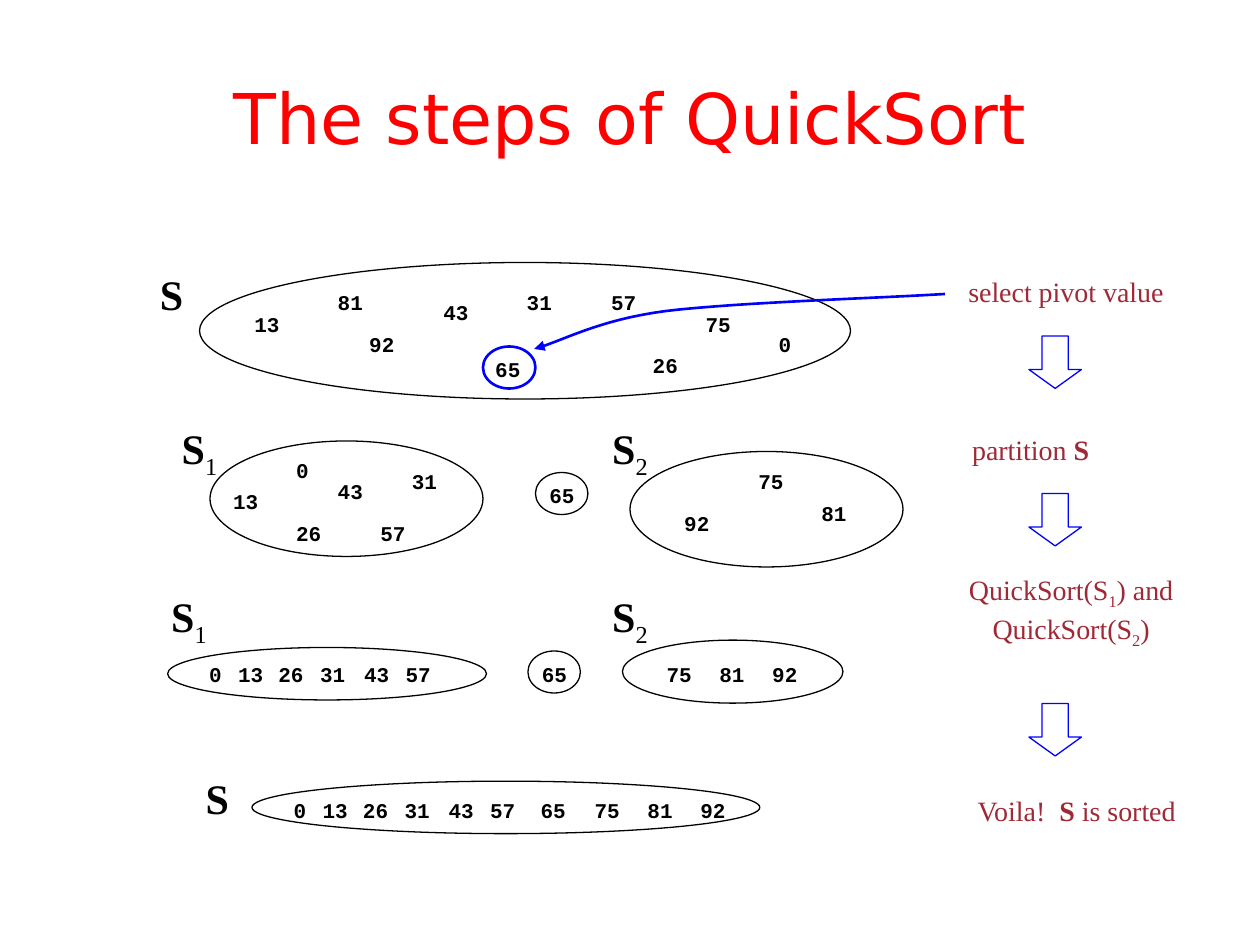
"""Build a slide that shows the steps of QuickSort on a small set of numbers."""
from dataclasses import dataclass
from typing import NamedTuple

from lxml.etree import SubElement
from pptx import Presentation
from pptx.dml.color import RGBColor as RGB
from pptx.enum.shapes import MSO_SHAPE as Geom
from pptx.enum.text import MSO_ANCHOR as Anchor, MSO_AUTO_SIZE as AutoSize, PP_ALIGN as Align
from pptx.oxml.ns import qn
from pptx.util import Pt


@dataclass(frozen=True)
class Style:
    font: str
    size: float
    color: RGB
    bold: bool = False


@dataclass(frozen=True)
class Theme:
    black: RGB = RGB(0, 0, 0)
    white: RGB = RGB(255, 255, 255)
    blue: RGB = RGB(0, 0, 255)
    title: Style = Style("DejaVu Sans", 40, RGB(255, 0, 0))
    number: Style = Style("Courier New", 12, RGB(0, 0, 0), True)
    label: Style = Style("Times New Roman", 24, RGB(0, 0, 0))
    step: Style = Style("Times New Roman", 16, RGB(0x9F, 0x29, 0x36))
    thin: float = 0.75
    thick: float = 1.5


THEME = Theme()


class Box(NamedTuple):
    x: float
    y: float
    w: float
    h: float


class Span(NamedTuple):
    text: str
    bold: bool = False
    sub: bool = False


class Oval(NamedTuple):
    box: Box
    filled: bool = False
    color: RGB = THEME.black
    width: float = THEME.thin


class Caption(NamedTuple):
    box: Box
    lines: list[list[Span]]


class Number(NamedTuple):
    value: int
    cx: float
    cy: float


Point = tuple[float, float]

OVALS = [
    Oval(Box(114, 150, 372, 78), True),
    Oval(Box(276, 198, 30, 24), False, THEME.blue, THEME.thick),
    Oval(Box(120, 252, 156, 66), True),
    Oval(Box(306, 270, 30, 24)),
    Oval(Box(360, 258, 156, 66)),
    Oval(Box(95.8, 370, 182.2, 30), True),
    Oval(Box(301.7, 372, 30, 24)),
    Oval(Box(355.7, 365.8, 126, 36)),
    Oval(Box(144, 446.4, 290.2, 30), True),
]

SCATTERED = [
    Number(13, 152.6, 185), Number(81, 200.2, 172.8), Number(92, 218.2, 196.6),
    Number(43, 260.6, 178.6), Number(65, 290.2, 211), Number(31, 308.2, 172.8),
    Number(57, 356.4, 172.8), Number(26, 380.2, 208.8), Number(75, 410.4, 185),
    Number(0, 448.6, 196.6),
    Number(13, 140.4, 286.6), Number(0, 172.8, 268.6), Number(26, 176.4, 304.6),
    Number(43, 200.2, 280.8), Number(57, 224.6, 304.6), Number(31, 242.6, 275),
    Number(65, 321.1, 283),
    Number(92, 398.2, 298.8), Number(75, 440.6, 275), Number(81, 476.6, 293),
]

LOW = {0: 0, 13: 20.2, 26: 43.2, 31: 67, 43: 92.2, 57: 115.9}
HIGH = {75: 0, 81: 30.2, 92: 60.4}
SORTED_ROWS = [(385.2, 123.1, 316.8, 388.1), (463, 171.4, 316.1, 347)]

S = Span("S", True)
S1, S2 = [S, Span("1", sub=True)], [S, Span("2", sub=True)]
LABELS = [
    Caption(Box(84, 150, 28, 36), [[S]]),
    Caption(Box(96, 240, 36, 36), [S1]),
    Caption(Box(342, 240, 36, 36), [S2]),
    Caption(Box(90, 336, 36, 36), [S1]),
    Caption(Box(342, 336, 36, 36), [S2]),
    Caption(Box(110.2, 438, 28, 36), [[S]]),
]

STEPS = [
    Caption(Box(545.8, 153.4, 126.7, 26.6), [[Span("select pivot value")]]),
    Caption(Box(547.9, 243.4, 82.1, 26.6), [[Span("partition "), S]]),
    Caption(Box(545.8, 326.2, 132.5, 46.1), [
        [Span("QuickSort(S"), Span("1", sub=True), Span(") and")],
        [Span("QuickSort(S"), Span("2", sub=True), Span(")")],
    ]),
    Caption(Box(550.1, 450, 130.3, 26.6), [[Span("Voila!  "), S, Span(" is sorted")]]),
]

ARROW_TOPS = [192, 282, 402]
PIVOT_CURVE = [
    ((540, 168), (513.4, 169.9), (419.8, 172.8), (380.2, 177.8)),
    ((380.2, 177.8), (341.3, 182.9), (321.1, 195.1), (305.3, 199.4)),
]


def pts(values) -> list[Pt]:
    return [Pt(v) for v in values]


def write(tf, lines: list[list[Span]], style: Style) -> None:
    tf.vertical_anchor = Anchor.MIDDLE
    for i, line in enumerate(lines):
        p = tf.add_paragraph() if i else tf.paragraphs[0]
        p.alignment = Align.CENTER
        for span in line:
            r = p.add_run()
            r.text = span.text
            r.font.name, r.font.size = style.font, Pt(style.size)
            r.font.bold = style.bold or span.bold
            r.font.color.rgb = style.color
            if span.sub:
                r._r.get_or_add_rPr().set("baseline", "-25000")


def add_caption(shapes, caption: Caption, style: Style) -> None:
    tf = shapes.add_textbox(*pts(caption.box)).text_frame
    tf.word_wrap = False
    tf.auto_size = AutoSize.SHAPE_TO_FIT_TEXT
    write(tf, caption.lines, style)


def add_number(shapes, n: Number) -> None:
    text = str(n.value)
    w, h = 14.4 + 7.2 * len(text), 21.6
    box = Box(n.cx - w / 2, n.cy - h / 2, w, h)
    add_caption(shapes, Caption(box, [[Span(text)]]), THEME.number)


def outline(sp, color: RGB, width: float) -> None:
    sp.shadow.inherit = False
    sp.fill.background()
    sp.line.color.rgb, sp.line.width = color, Pt(width)


def add_oval(shapes, oval: Oval) -> None:
    sp = shapes.add_shape(Geom.OVAL, *pts(oval.box))
    outline(sp, oval.color, oval.width)
    if oval.filled:
        sp.fill.solid()
        sp.fill.fore_color.rgb = THEME.white


def add_down_arrow(shapes, top: float) -> None:
    sp = shapes.add_shape(Geom.DOWN_ARROW, *pts((588, top, 30, 30)))
    sp.adjustments[0], sp.adjustments[1] = 0.5, 0.36
    outline(sp, THEME.blue, THEME.thin)


def bezier(a: Point, b: Point, c: Point, d: Point, steps: int = 16) -> list[Point]:
    ts = [i / steps for i in range(1, steps + 1)]
    return [tuple((1 - t) ** 3 * p + 3 * (1 - t) ** 2 * t * q + 3 * (1 - t) * t * t * u + t ** 3 * v
                  for p, q, u, v in zip(a, b, c, d)) for t in ts]


def add_pivot_curve(shapes) -> None:
    fb = shapes.build_freeform(*pts(PIVOT_CURVE[0][0]))
    points = [pt for part in PIVOT_CURVE for pt in bezier(*part)]
    fb.add_line_segments([pts(pt) for pt in points], close=False)
    sp = fb.convert_to_shape()
    outline(sp, THEME.blue, THEME.thick)
    SubElement(sp.line._get_or_add_ln(), qn("a:tailEnd"), type="triangle")


def main() -> None:
    prs = Presentation()
    prs.slide_width, prs.slide_height = Pt(720), Pt(540)
    s = prs.slides.add_slide(prs.slide_layouts[5])
    title, shapes = s.shapes.title, s.shapes
    title.left, title.top, title.width, title.height = pts((36, 21.6, 648, 90))
    write(title.text_frame, [[Span("The steps of QuickSort")]], THEME.title)
    for oval in OVALS:
        add_oval(shapes, oval)
    for n in SCATTERED:
        add_number(shapes, n)
    for y, low, pivot, high in SORTED_ROWS:
        for start, offsets in ((low, LOW), (pivot, {65: 0}), (high, HIGH)):
            for value, dx in offsets.items():
                add_number(shapes, Number(value, start + dx, y))
    for captions, style in ((LABELS, THEME.label), (STEPS, THEME.step)):
        for caption in captions:
            add_caption(shapes, caption, style)
    add_pivot_curve(shapes)
    for top in ARROW_TOPS:
        add_down_arrow(shapes, top)
    prs.save("out.pptx")


if __name__ == "__main__":
    main()
